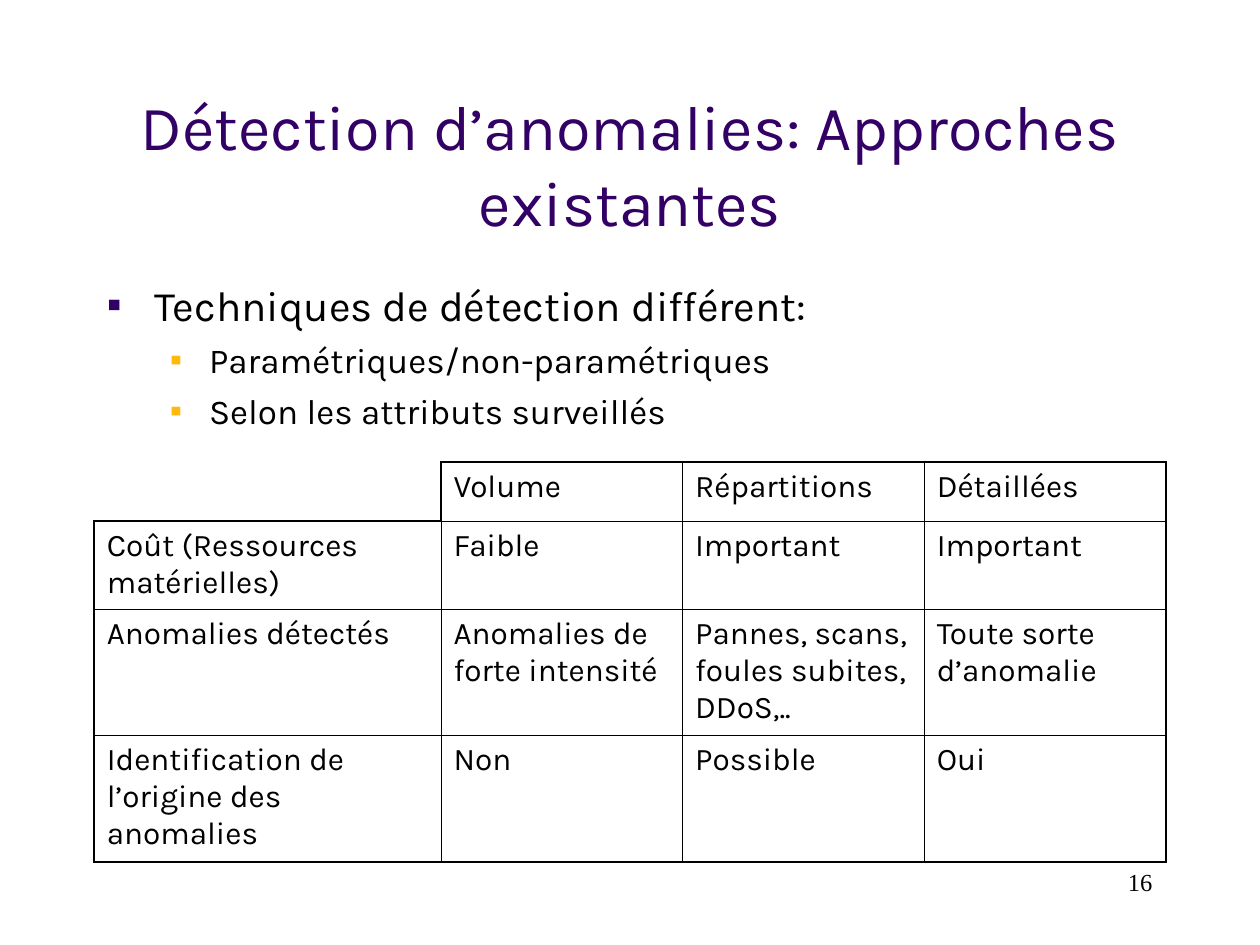
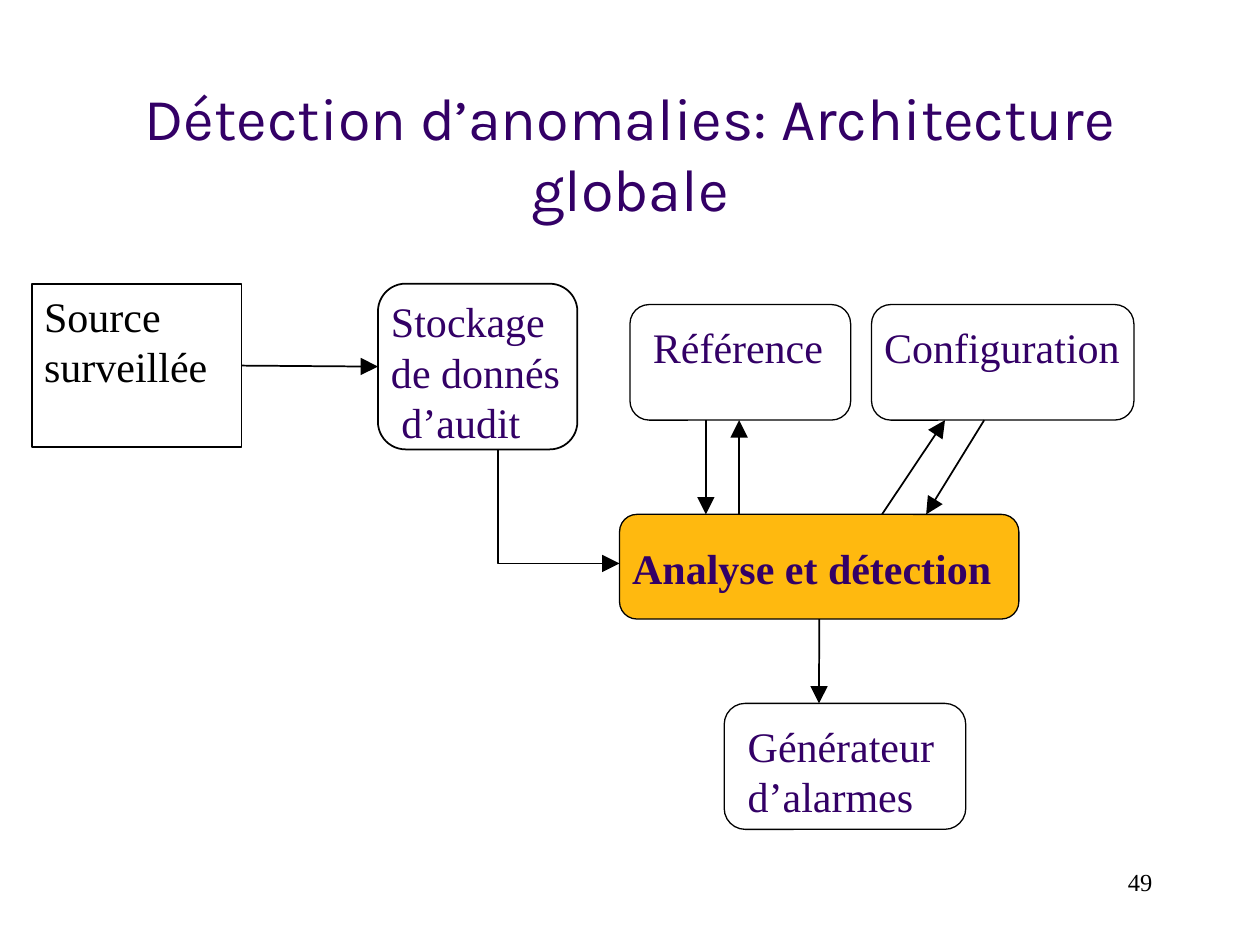
from lxml.etree import SubElement
from pptx import Presentation
from pptx.dml.color import RGBColor
from pptx.enum.shapes import MSO_CONNECTOR, MSO_SHAPE
from pptx.enum.text import MSO_ANCHOR, PP_ALIGN
from pptx.oxml.ns import qn
from pptx.util import Cm, Pt

PURPLE, GOLD, BLACK, WHITE = "330066", "FFB90F", "000000", "FFFFFF"
SANS, SERIF = "Karla", "Times New Roman"
TOP, LEFT, BOTTOM, RIGHT = range(4)
MARGIN, CONTENT_WIDTH = 1.9, 21.6
LEVELS = [
    dict(size=24, margin=0.97, hanging=0.97, before=0, bullet=PURPLE),
    dict(size=20, margin=2.06, hanging=0.79, before=5, bullet=GOLD),
]


def color(value):
    return RGBColor.from_string(value)


def lengths(*values):
    return [Cm(value) for value in values]


class SlideBuilder:
    def __init__(self, deck):
        self.deck = deck
        self.page = None

    def new_page(self, layout, title, title_top, title_size, number):
        self.page = self.deck.slides.add_slide(self.deck.slide_layouts[layout])
        box = self.page.shapes.title
        self.place(box, MARGIN, title_top, CONTENT_WIDTH, 3.18)
        box.text_frame.text = title
        box.text_frame.vertical_anchor = MSO_ANCHOR.MIDDLE
        self.style(box.text_frame.paragraphs[0], title_size, SANS, PURPLE, PP_ALIGN.CENTER)
        self.page_number(number)

    def place(self, box, left, top, width, height):
        box.left, box.top, box.width, box.height = lengths(left, top, width, height)

    def style(self, para, size, face, ink, align=PP_ALIGN.LEFT, bold=False):
        para.alignment = align
        for span in para.runs:
            span.font.size = Pt(size)
            span.font.name = face
            span.font.bold = bold
            span.font.color.rgb = color(ink)

    def page_number(self, number):
        box = self.page.shapes.add_textbox(*lengths(18.2, 17.35, 5.28, 1.27))
        box.text_frame.word_wrap = True
        box.text_frame.text = str(number)
        self.style(box.text_frame.paragraphs[0], 14, SERIF, BLACK, PP_ALIGN.RIGHT)

    def bullets(self, items, top, height):
        box = self.page.placeholders[1]
        self.place(box, MARGIN, top, CONTENT_WIDTH, height)
        box.text_frame.text = "\n".join(text for level, text in items)
        for para, (level, text) in zip(box.text_frame.paragraphs, items):
            look = LEVELS[level]
            para.level = level
            para.space_before = Pt(look["before"])
            properties = para._p.get_or_add_pPr()
            properties.set("marL", str(Cm(look["margin"])))
            properties.set("indent", str(-Cm(look["hanging"])))
            tint = SubElement(properties, qn("a:buClr"))
            SubElement(tint, qn("a:srgbClr"), val=look["bullet"])
            SubElement(properties, qn("a:buChar"), char="▪")
            self.style(para, look["size"], SANS, BLACK)

    def border(self, cell, side, points):
        line = SubElement(cell._tc.get_or_add_tcPr(), qn("a:ln" + side), w=str(Pt(points)))
        if points:
            fill = SubElement(line, qn("a:solidFill"))
            SubElement(fill, qn("a:srgbClr"), val=BLACK)
        else:
            SubElement(line, qn("a:noFill"))

    def table(self, rows, top, widths, heights):
        frame = self.page.shapes.add_table(
            len(rows), len(widths), *lengths(MARGIN, top, sum(widths), sum(heights)))
        table = frame.table
        table.first_row = table.horz_banding = False
        for column, width in zip(table.columns, widths):
            column.width = Cm(width)
        for row, height in zip(table.rows, heights):
            row.height = Cm(height)
        thin, thick = 0.45, 1.08
        last_row, last_column = len(rows) - 1, len(widths) - 1
        for y, texts in enumerate(rows):
            for x, text in enumerate(texts):
                cell = table.cell(y, x)
                edges = dict(L=x == 0, R=x == last_column, T=y == 0, B=y == last_row)
                if x == y == 0:
                    edges = dict(L=None, R=True, T=None, B=True)
                elif x + y == 1:
                    edges.update(L=True, T=True)
                for side, outer in edges.items():
                    self.border(cell, side, 0 if outer is None else thick if outer else thin)
                if text:
                    cell.fill.solid()
                    cell.fill.fore_color.rgb = color(WHITE)
                    cell.text_frame.text = text
                    self.style(cell.text_frame.paragraphs[0], 18, SANS, BLACK)
                else:
                    cell.fill.background()

    def node(self, text, bounds, inset, kind=MSO_SHAPE.ROUNDED_RECTANGLE,
             fill=None, ink=PURPLE, weight=0.75, bold=False):
        box = self.page.shapes.add_shape(kind, *lengths(*bounds))
        box.shadow.inherit = False
        if fill:
            box.fill.solid()
            box.fill.fore_color.rgb = color(fill)
        else:
            box.fill.background()
        box.line.color.rgb = color(BLACK)
        box.line.width = Pt(weight)
        frame = box.text_frame
        frame.word_wrap = True
        frame.vertical_anchor = MSO_ANCHOR.TOP
        frame.margin_left, frame.margin_top = lengths(*inset)
        frame.margin_right = frame.margin_bottom = 0
        frame.text = text
        for para in frame.paragraphs:
            self.style(para, 24, SERIF, ink, bold=bold)
        return box

    def arrow_line(self, line):
        line.color.rgb = color(BLACK)
        line.width = Pt(1)
        SubElement(line._get_or_add_ln(), qn("a:tailEnd"), type="triangle", w="lg", len="lg")

    def arrow(self, start, end, begin=None, finish=None):
        arrow = self.page.shapes.add_connector(MSO_CONNECTOR.STRAIGHT, *lengths(*start, *end))
        if begin:
            arrow.begin_connect(*begin)
        if finish:
            arrow.end_connect(*finish)
        self.arrow_line(arrow.line)
        SubElement(arrow._element.spPr, qn("a:effectLst"))

    def bent_arrow(self, start, *corners):
        builder = self.page.shapes.build_freeform(*lengths(*start))
        builder.add_line_segments([lengths(*corner) for corner in corners], close=False)
        bend = builder.convert_to_shape()
        bend.shadow.inherit = False
        bend.fill.background()
        self.arrow_line(bend.line)


def approaches(slide):
    slide.new_page(1, "Détection d’anomalies: Approches existantes", 1.7, 36, 16)
    slide.bullets([
        (0, "Techniques de détection différent:"),
        (1, "Paramétriques/non-paramétriques"),
        (1, "Selon les attributs surveillés"),
    ], 5.5, 3.38)
    slide.table([
        ["", "Volume", "Répartitions", "Détaillées"],
        ["Coût (Ressources matérielles)", "Faible", "Important", "Important"],
        ["Anomalies détectés", "Anomalies de forte intensité",
         "Pannes, scans, foules subites, DDoS,..", "Toute sorte d’anomalie"],
        ["Identification de l’origine des anomalies", "Non", "Possible", "Oui"],
    ], 9.31, [6.99] + [4.87] * 3, [1.19, 1.78, 2.55, 2.55])


def architecture(slide):
    slide.new_page(5, "Détection d’anomalies: Architecture globale", 1.48, 34, 49)
    shelf, analysis_top, analysis_bottom = 8.47, 10.37, 12.48
    source = slide.node("Source surveillée", (0.64, 5.72, 4.23, 3.3), (0.25, 0.13),
                        MSO_SHAPE.RECTANGLE, WHITE, BLACK, 1)
    storage = slide.node("Stockage\nde donnés\nd’audit", (7.62, 5.72, 4.02, 3.34),
                         (0.1, 0.08), weight=1)
    storage.text_frame.paragraphs[2]._p.get_or_add_pPr().set("marL", str(Cm(0.21)))
    slide.node("Référence", (12.7, 6.14, 4.45, 2.33), (0.35, 0.22))
    slide.node("Configuration", (17.57, 6.14, 5.29, 2.33), (0.14, 0.22))
    analysis = slide.node("Analyse et détection", (12.49, analysis_top, 8.05, 2.11),
                          (0.15, 0.46), fill=GOLD, bold=True)
    slide.node("Générateur\nd’alarmes", (14.6, 14.18, 4.87, 2.54), (0.35, 0.22))

    slide.arrow((4.87, 7.37), (7.62, 7.39), (source, RIGHT), (storage, LEFT))
    slide.arrow((16.51, analysis_bottom), (16.51, 14.18), (analysis, BOTTOM))
    slide.arrow((14.23, shelf), (14.23, analysis_top))
    slide.arrow((14.9, analysis_top), (14.9, shelf))
    slide.arrow((17.78, analysis_top), (19.05, shelf))
    slide.arrow((19.84, shelf), (18.67, analysis_top))
    slide.bent_arrow((10.04, 9.06), (10.04, 11.36), (12.49, 11.36))


def main():
    deck = Presentation()
    deck.slide_width, deck.slide_height = lengths(25.4, 19.05)
    slide = SlideBuilder(deck)
    approaches(slide)
    architecture(slide)
    deck.save("out.pptx")


if __name__ == "__main__":
    main()
